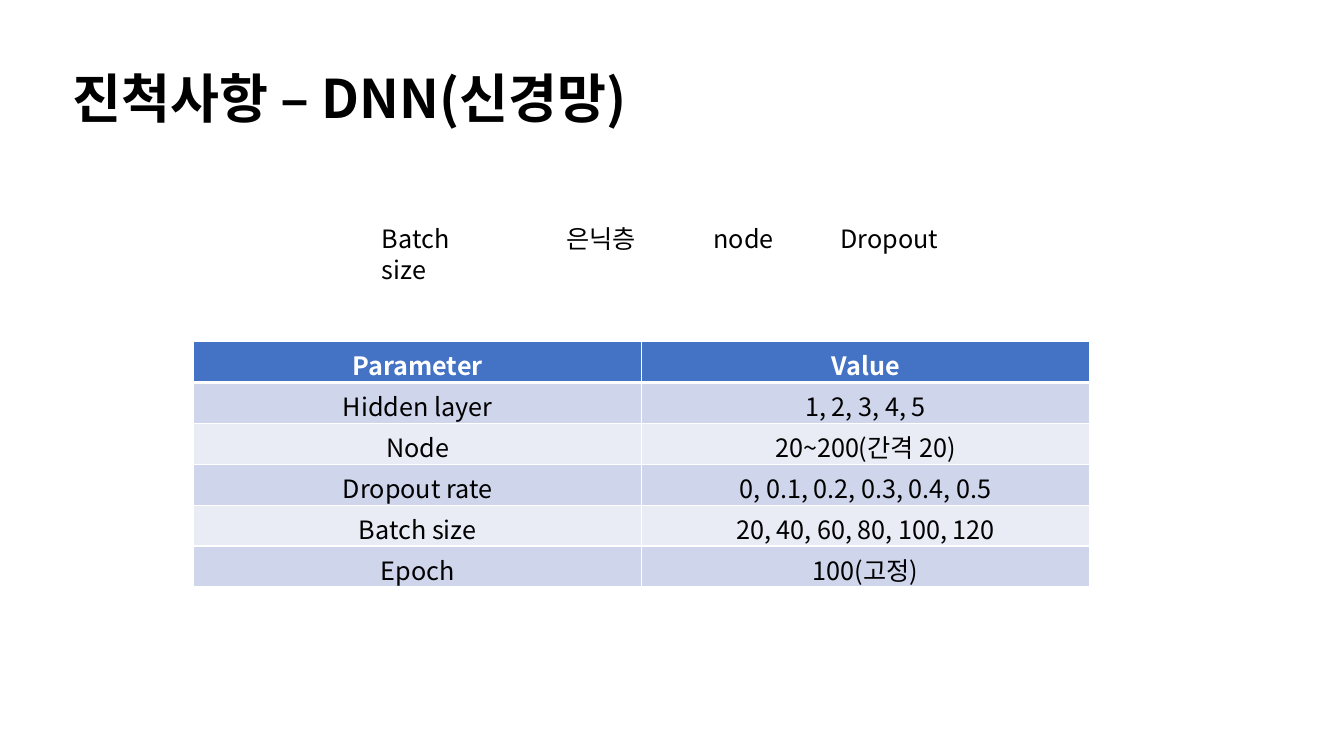
from dataclasses import dataclass

from lxml.etree import SubElement
from pptx import Presentation
from pptx.dml.color import RGBColor
from pptx.enum.text import MSO_ANCHOR, PP_ALIGN
from pptx.oxml.ns import qn
from pptx.util import Cm, Pt


@dataclass(frozen=True)
class Theme:
    font: str = "Noto Sans CJK KR"
    ink: str = "000000"
    paper: str = "FFFFFF"
    header: str = "4472C4"
    bands: tuple = ("CFD5EA", "E9EBF5")
    title_size: int = 38
    body_size: int = 18
    thin: int = 1
    thick: int = 3


class SlideBuilder:
    def __init__(self, slide, theme):
        self.slide = slide
        self.theme = theme

    def add_words(self, frame, text, size, color, bold=False, **layout):
        paragraph = frame.paragraphs[0]
        for name, value in layout.items():
            setattr(paragraph, name, value)
        run = paragraph.add_run()
        run.text = text
        formats = {"name": self.theme.font, "size": Pt(size), "bold": bold}
        for name, value in formats.items():
            setattr(run.font, name, value)
        run.font.color.rgb = RGBColor.from_string(color)
        # Korean glyphs use the East Asian font slot
        SubElement(run._r.get_or_add_rPr(), qn("a:ea"), typeface=self.theme.font)

    def text(self, text, left, top, width, height, size,
             bold=False, anchor=MSO_ANCHOR.TOP, **layout):
        box = self.slide.shapes.add_textbox(Cm(left), Cm(top), Cm(width), Cm(height))
        box.text_frame.word_wrap = True
        box.text_frame.vertical_anchor = anchor
        self.add_words(box.text_frame, text, size, self.theme.ink, bold, **layout)

    def borders(self, cell, widths):
        properties = cell._tc.get_or_add_tcPr()
        for position, (side, width) in enumerate(widths.items()):
            line = SubElement(properties, qn(f"a:ln{side}"), w=str(Pt(width)))
            fill = SubElement(line, qn("a:solidFill"))
            SubElement(fill, qn("a:srgbClr"), val=self.theme.paper)
            properties.insert(position, line)

    def table(self, rows, left, top, width, row_height):
        theme = self.theme
        grid = self.slide.shapes.add_table(
            len(rows), len(rows[0]), Cm(left), Cm(top),
            Cm(width), Cm(row_height * len(rows))).table
        for row_index, row in enumerate(rows):
            is_header = row_index == 0
            fill = theme.header if is_header else theme.bands[(row_index - 1) % 2]
            widths = {"L": theme.thin, "R": theme.thin,
                      "T": theme.thick if row_index == 1 else theme.thin,
                      "B": theme.thick if is_header else theme.thin}
            for column_index, text in enumerate(row):
                cell = grid.cell(row_index, column_index)
                cell.fill.solid()
                cell.fill.fore_color.rgb = RGBColor.from_string(fill)
                self.borders(cell, widths)
                self.add_words(cell.text_frame, text, theme.body_size,
                               theme.paper if is_header else theme.ink,
                               is_header, alignment=PP_ALIGN.CENTER)


theme = Theme()
deck = Presentation()
deck.slide_width, deck.slide_height = Cm(33.87), Cm(19.05)
builder = SlideBuilder(deck.slides.add_slide(deck.slide_layouts[6]), theme)

# Title
builder.text("진척사항 – DNN(신경망)", 1.57, 0.71, 29.21, 3.68, theme.title_size,
             bold=True, anchor=MSO_ANCHOR.MIDDLE, line_spacing=0.9)

# Tuned settings
settings = [("Batch size", 9.37, 3.45), ("은닉층", 14.02, 2.51),
            ("node", 17.73, 2.03), ("Dropout", 20.93, 3.05)]
for setting, left, width in settings:
    builder.text(setting, left, 5.51, width, 1.02, theme.body_size)

# Search ranges
parameters = [
    ("Parameter", "Value"),
    ("Hidden layer", "1, 2, 3, 4, 5"),
    ("Node", "20~200(간격 20)"),
    ("Dropout rate", "0, 0.1, 0.2, 0.3, 0.4, 0.5"),
    ("Batch size", "20, 40, 60, 80, 100, 120"),
    ("Epoch", "100(고정)"),
]
builder.table(parameters, 4.88, 8.61, 22.58, 1.03)

deck.save("out.pptx")
